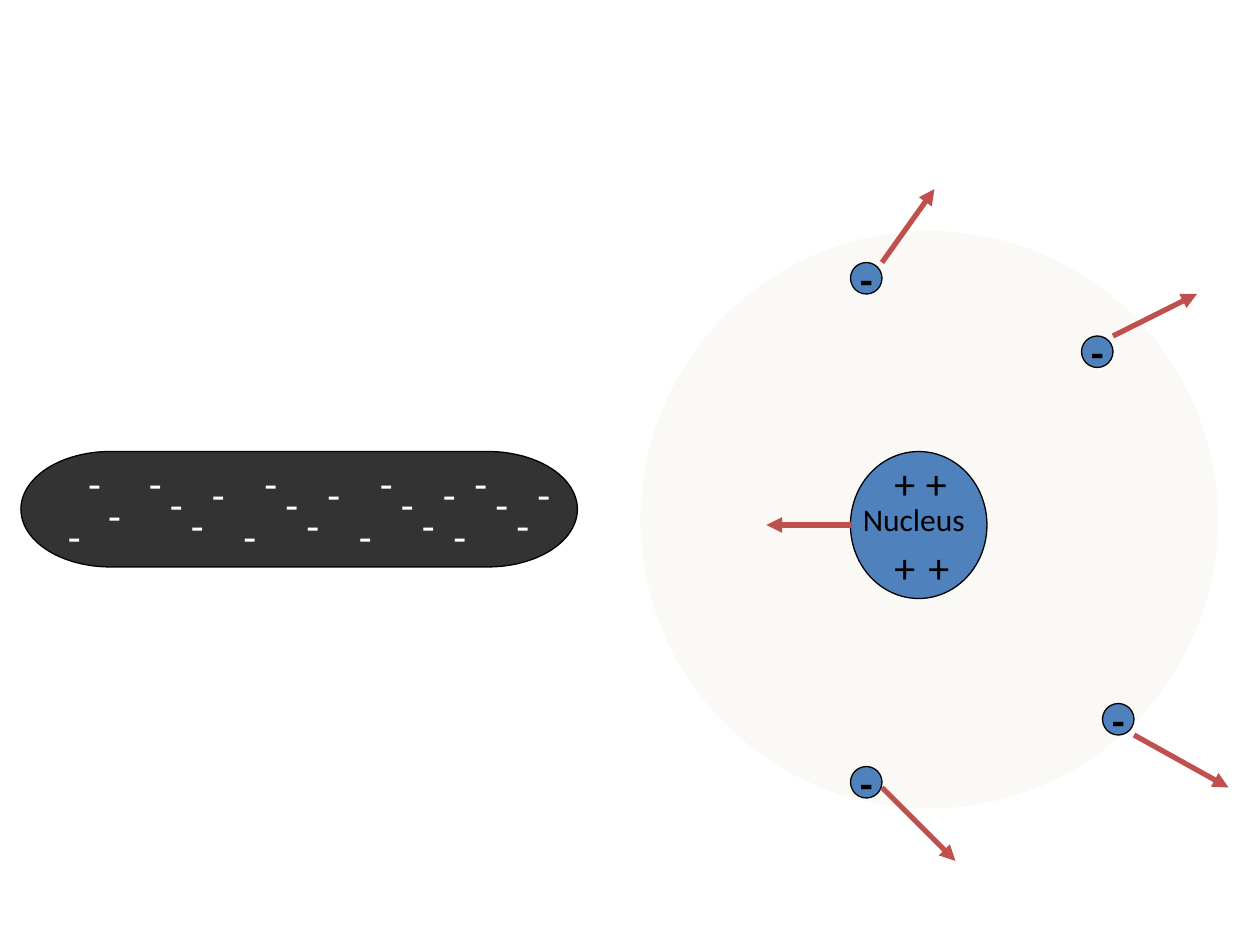
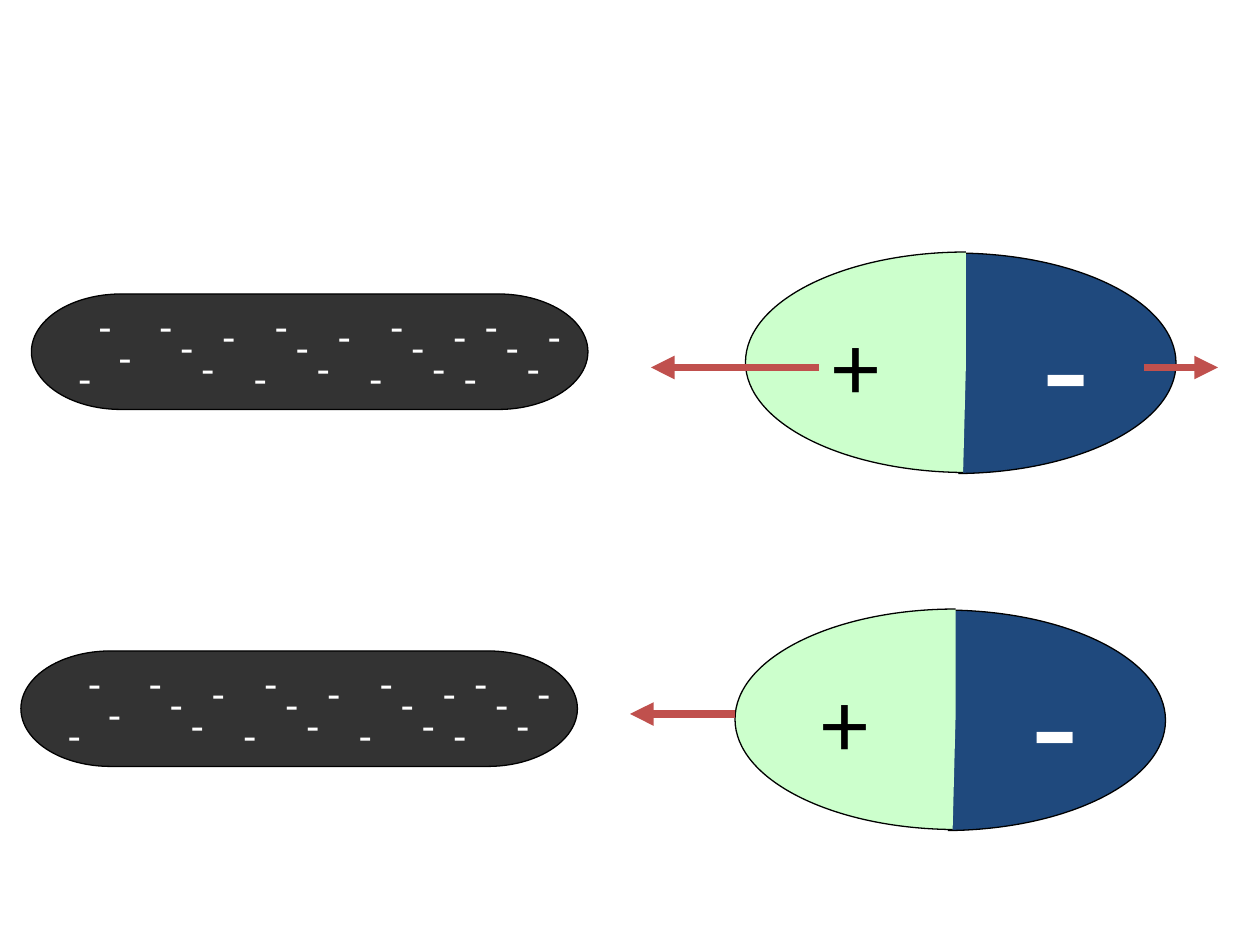
from copy import deepcopy

from pptx import Presentation
from pptx.dml.color import RGBColor
from pptx.enum.shapes import MSO_CONNECTOR, MSO_SHAPE
from pptx.enum.text import MSO_ANCHOR, MSO_AUTO_SIZE, PP_ALIGN
from pptx.oxml.ns import qn
from pptx.util import Inches, Pt
from lxml.etree import SubElement

FONT = "Calibri"
BLACK, WHITE, RED = "000000", "FFFFFF", "C0504D"
BLUE, NAVY, MINT = "4F81BD", "1F497D", "CCFFCC"
CLOUD, DARK = "EEECE1", "333333"

# All places and lengths below are in grid steps of a twelfth of an inch
GRID = 12

# Charges on the rod, measured from its top left corner
ROD = (53, 11)
SIGN = (3.72, 6)
WAVE = [(4, 2), (6, 4), (2, 0), (0, 5), (8, 1)]
STARTS = [40, 20, 31]
FIRST = [(13, 2), (15, 4), (11, 0), (7.12, 3), (17, 1), (5.2, 0), (3.28, 5)]
SIGNS = [(x + dx, dy) for x in STARTS for dx, dy in WAVE] + FIRST

# Slide 1: an atom beside the rod
HALO = (61, 22, 55, 55)
CORE = (81, 43, 13, 14)
LABELS = [("+", 87.25, 51, 4.8, 6, 24), ("+", 87, 43, 4.8, 6, 24),
          ("+", 84, 43, 4.8, 6, 24), ("+", 84, 51, 4.8, 6, 24)]
NAME = ("Nucleus", 81, 47, 13.2, 4.8, 18)
ORBS = [(81, 25), (105, 67), (81, 73), (103, 32)]
PULLS = [(84, 25, 89, 18), (84, 75, 91, 82), (106, 32, 114, 28),
         (108, 70, 117, 75), (81, 50, 73, 50)]

# Slide 2: rod corner, top of the mint half, arrows
SCENES = [
    {"rod": (2, 62), "top": (91, 58), "pulls": [(70, 68, 60, 68)]},
    {"rod": (3, 28), "top": (92, 24),
     "pulls": [(78, 35, 62, 35), (109, 35, 116, 35)]},
]
# Half an ellipse: start, two curves of three points each, middle
BOW = [(0, 0), (11.6, 0), (21, 4.7), (21, 10.5),
       (21, 16.23), (11.77, 20.9), (0.27, 21), (0, 10.5)]


def steps(values):
    return [Inches(value / GRID) for value in values]


def rgb(code):
    return RGBColor.from_string(code)


def paint(shape, fill, line=BLACK):
    shape.shadow.inherit = False
    shape.fill.solid()
    shape.fill.fore_color.rgb = rgb(fill)
    if line:
        shape.line.color.rgb = rgb(line)
        shape.line.width = Pt(0.75)
    else:
        shape.line.fill.background()


def write(shape, text, size, color, bold=False):
    frame = shape.text_frame
    frame.text = text
    frame.word_wrap = False
    font = frame.paragraphs[0].runs[0].font
    font.name, font.size, font.bold = FONT, Pt(size), bold
    font.color.rgb = rgb(color)
    return frame


def center(shape, *style):
    frame = write(shape, *style)
    frame.vertical_anchor = MSO_ANCHOR.MIDDLE
    frame.paragraphs[0].alignment = PP_ALIGN.CENTER


def shape(shapes, kind, box, fill, line=BLACK):
    item = shapes.add_shape(kind, *steps(box))
    paint(item, fill, line)
    return item


def label(shapes, text, box, size, color):
    item = shapes.add_textbox(*steps(box))
    write(item, text, size, color).auto_size = MSO_AUTO_SIZE.SHAPE_TO_FIT_TEXT


def arrow(shapes, ends, width):
    item = shapes.add_connector(MSO_CONNECTOR.STRAIGHT, *steps(ends))
    item.line.color.rgb = rgb(RED)
    item.line.width = Pt(width)
    SubElement(item.line._get_or_add_ln(), qn("a:tailEnd"), type="triangle")
    SubElement(item._element.spPr, qn("a:effectLst"))


def rod(shapes, x, y):
    shape(shapes, MSO_SHAPE.FLOWCHART_TERMINATOR, (x, y, *ROD), DARK)
    for dx, dy in SIGNS:
        label(shapes, "-", (x + dx, y + dy, *SIGN), 24, WHITE)


def bend(line, points):
    """Turn three straight pieces into one curve."""
    curve = line.makeelement(qn("a:cubicBezTo"))
    line.addprevious(curve)
    for piece in points:
        curve.append(piece[0])
        piece.getparent().remove(piece)


def half(shapes, x, y, side, fill, *style):
    """Half an ellipse, outlined on its curve only; side is 1 right, -1 left."""
    dots = [tuple(steps((x + side * dx, y + dy))) for dx, dy in BOW]
    pen = shapes.build_freeform(*dots[0])
    pen.add_line_segments(dots[1:])
    item = pen.convert_to_shape()
    paint(item, fill)
    center(item, *style)
    area = item._element.find(".//" + qn("a:path"))
    lines = area.findall(qn("a:lnTo"))
    for part in (lines[:3], lines[3:6]):
        bend(part[0], part)
    # Split into a filled area and an open curve
    edge = deepcopy(area)
    for part in edge[-2:]:
        edge.remove(part)
    edge.set("fill", "none")
    area.set("stroke", "0")
    area.addprevious(edge)


def atom(shapes):
    halo = shape(shapes, MSO_SHAPE.OVAL, HALO, CLOUD, None)
    tint = halo._element.spPr.find(".//" + qn("a:srgbClr"))
    SubElement(tint, qn("a:alpha"), val="27000")
    shape(shapes, MSO_SHAPE.OVAL, CORE, BLUE)
    for text, *box, size in LABELS:
        label(shapes, text, box, size, BLACK)
    for x, y in ORBS:
        orb = shape(shapes, MSO_SHAPE.OVAL, (x, y, 3, 3), BLUE)
        center(orb, "-", 24, BLACK, True)
    text, *box, size = NAME
    label(shapes, text, box, size, BLACK)


def scene(shapes, data):
    x, y = data["top"]
    half(shapes, x - 1, y + 0.1, 1, NAVY, "-", 88, WHITE)
    half(shapes, x, y, -1, MINT, "+", 54, BLACK)
    rod(shapes, *data["rod"])
    for ends in data["pulls"]:
        arrow(shapes, ends, 4.5)


def main():
    deck = Presentation()
    deck.slide_width, deck.slide_height = Inches(10), Inches(7.5)
    first, second = [deck.slides.add_slide(deck.slide_layouts[6]).shapes
                     for _ in range(2)]
    atom(first)
    rod(first, 2, 43)
    for ends in PULLS:
        arrow(first, ends, 3)
    for data in SCENES:
        scene(second.add_group_shape().shapes, data)
    deck.save("out.pptx")


if __name__ == "__main__":
    main()
